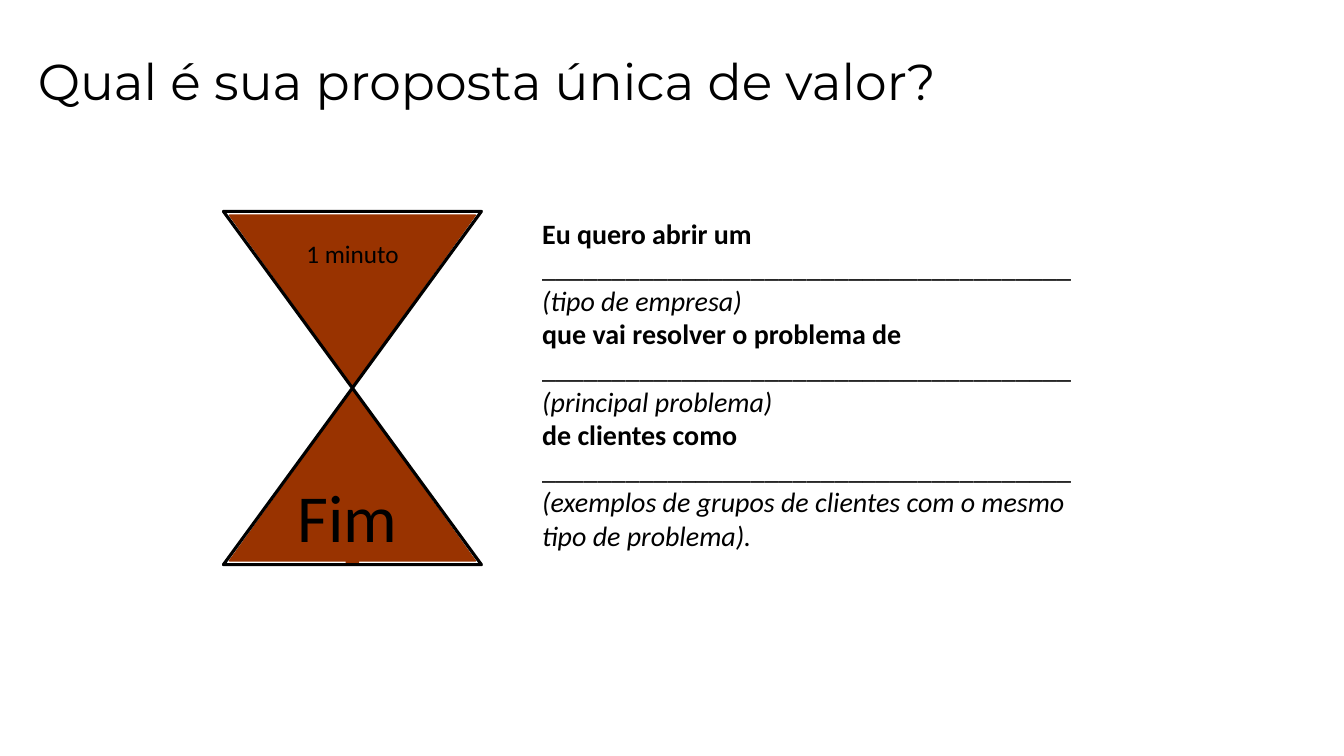
import pptx
import pptx.util
import pptx.dml.color
import pptx.enum.shapes
import pptx.enum.text

Pt = pptx.util.Pt
SHAPE = pptx.enum.shapes.MSO_SHAPE
ALIGN = pptx.enum.text.PP_ALIGN

COLORS = {"sand": "993300", "ink": "000000"}
TITLE = "Qual é sua proposta única de valor?"
BLANK = "_" * 38 + " "
PROPOSAL = [
    [("Eu quero abrir um ", "prompt"), (BLANK, "blank"), ("(tipo de empresa)", "hint")],
    [("que vai resolver o problema de ", "prompt"), (BLANK, "blank"), ("(principal problema)", "hint")],
    [("de clientes como", "prompt")],
    [(BLANK, "blank"),
     ("(exemplos de grupos de clientes com o mesmo tipo de problema).", "hint")],
]
FORMATS = {
    "title": {"name": "Montserrat", "size": Pt(72), "bold": False},
    "start": {"name": "Calibri", "size": Pt(36)},
    "end": {"name": "Calibri", "size": Pt(96)},
    "prompt": {"name": "Calibri", "size": Pt(40), "bold": True},
    "blank": {"name": "Calibri", "size": Pt(40)},
    "hint": {"name": "Calibri", "size": Pt(40), "italic": True},
}
CENTER_X, CENTER_Y = 503.5, 554.3
FRAME_SIZE = (368.6, 504.7)
SAND_SIZE = (351.4, 244)
SAND_OFFSET = 125
STREAM_SIZE = (249, 17.3)
STREAM_OFFSET = 127.5


def color(name):
    return pptx.dml.color.RGBColor.from_string(COLORS[name])


def add_glass_part(slide, kind, size, offset, rotation, fill, line, weight):
    width, height = size
    part = slide.shapes.add_shape(
        kind, Pt(CENTER_X - width / 2), Pt(CENTER_Y + offset - height / 2), Pt(width), Pt(height))
    part.rotation = rotation
    part.shadow.inherit = False
    if fill:
        part.fill.solid()
        part.fill.fore_color.rgb = color(fill)
    else:
        part.fill.background()
    part.line.color.rgb = color(line)
    part.line.width = Pt(weight)


def write(frame, paragraphs, align):
    frame.word_wrap = True
    for index, pieces in enumerate(paragraphs):
        paragraph = frame.paragraphs[0] if index == 0 else frame.add_paragraph()
        paragraph.alignment = align
        for text, style in pieces:
            run = paragraph.add_run()
            run.text = text
            run.font.color.rgb = color("ink")
            for attribute, value in FORMATS[style].items():
                setattr(run.font, attribute, value)


def add_text(slide, box, paragraphs, align=ALIGN.LEFT):
    write(slide.shapes.add_textbox(*map(Pt, box)).text_frame, paragraphs, align)


def add_title(slide):
    title = slide.shapes.title
    place = {"left": 39.6, "top": 25.2, "width": 1404, "height": 180}
    for attribute, value in place.items():
        setattr(title, attribute, Pt(value))
    frame = title.text_frame
    insets = {"margin_left": 14.4, "margin_right": 14.4, "margin_top": 7.2, "margin_bottom": 7.2}
    for attribute, value in insets.items():
        setattr(frame, attribute, Pt(value))
    frame.auto_size = pptx.enum.text.MSO_AUTO_SIZE.NONE
    frame.vertical_anchor = pptx.enum.text.MSO_ANCHOR.MIDDLE
    write(frame, [[(TITLE, "title")]], ALIGN.LEFT)


def main():
    deck = pptx.Presentation()
    deck.slide_width, deck.slide_height = Pt(1920.24), Pt(1080)
    slide = deck.slides.add_slide(deck.slide_layouts[5])
    add_title(slide)
    for offset, rotation in ((SAND_OFFSET, 0), (-SAND_OFFSET, 180)):
        add_glass_part(slide, SHAPE.ISOSCELES_TRIANGLE, SAND_SIZE, offset, rotation, "sand", "sand", 2)
    add_glass_part(slide, SHAPE.PENTAGON, STREAM_SIZE, STREAM_OFFSET, 270, "sand", "sand", 2)
    add_glass_part(slide, SHAPE.FLOWCHART_COLLATE, FRAME_SIZE, 0, 0, None, "ink", 4.5)
    add_text(slide, (429.8, 336.2, 147.6, 51.1), [[("1 minuto", "start")]], ALIGN.CENTER)
    add_text(slide, (418.3, 676, 159.1, 123.8), [[("Fim", "end")]])
    add_text(slide, (767.5, 305.3, 805, 491.8), PROPOSAL)
    deck.save("out.pptx")


if __name__ == "__main__":
    main()
